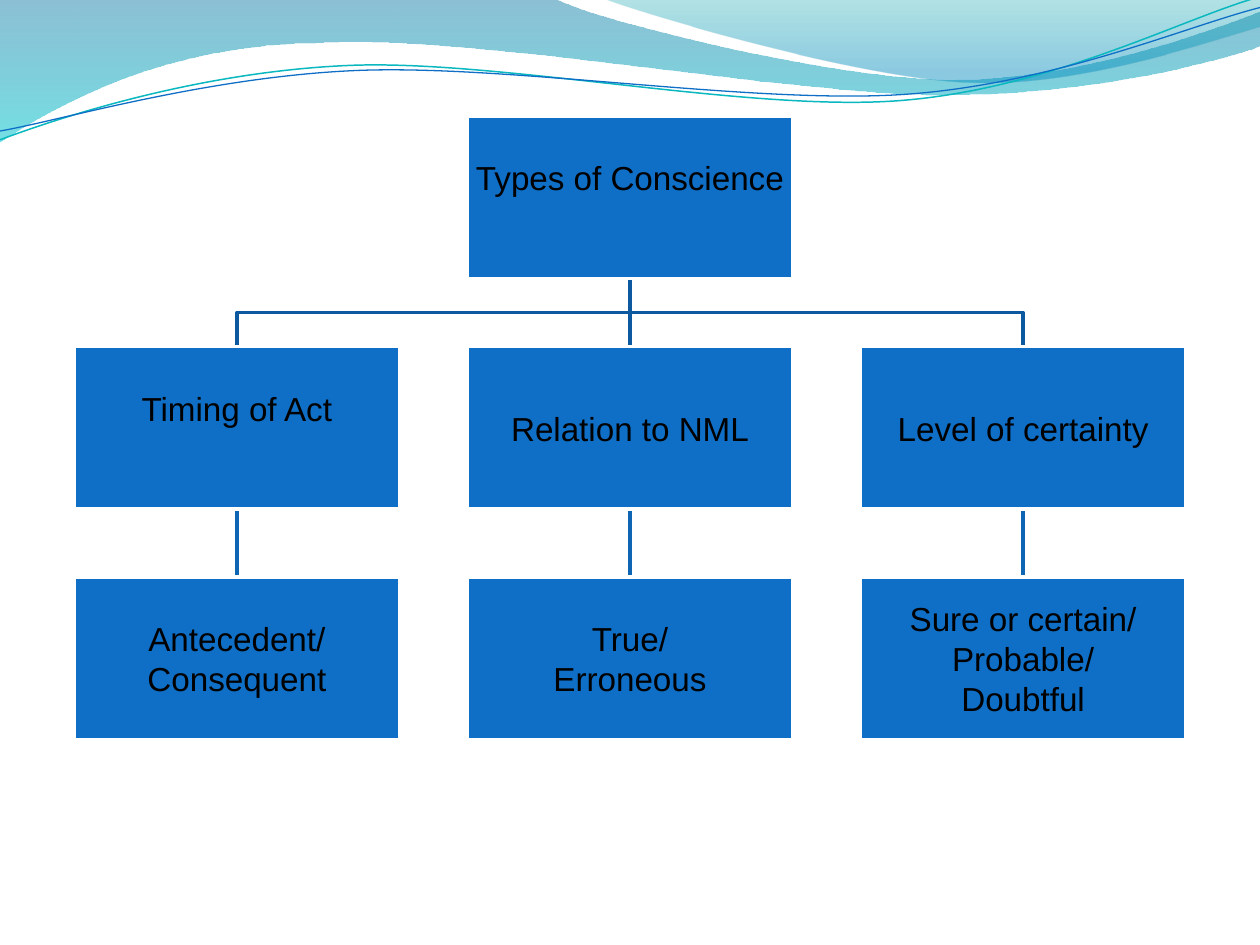
from pptx import Presentation
from pptx import util as u
from pptx.dml.color import RGBColor
from pptx.enum import shapes, text
from pptx.oxml.ns import qn
from lxml import etree

TITLE = ["Types of Conscience"]
BRANCHES = [
    (["Timing of Act"], ["Antecedent/", "Consequent"]),
    (["Relation to NML"], ["True/", "Erroneous"]),
    (["Level of certainty"], ["Sure or certain/", "Probable/", "Doubtful"]),
]
RAISED = ["Types of Conscience", "Timing of Act"]

THEME = {
    "font": "Arial", "size": 19, "text": "000000", "box": "0F6FC6",
    "edge": "FFFFFF", "upper": "0C599F", "lower": "0E65B4", "stroke": 2,
    "inset": 0.01, "raise": 0.32,
}

RIBBONS = [
    ([(0, -0.01), (4.4, -0.01),
      [(4.76, 0.17), (6.64, 0.63), (7.58, 0.63)],
      [(8.53, 0.63), (9.58, 0.26), (10, 0.09)],
      (10.01, 0.36),
      [(9.83, 0.44), (8.7, 0.76), (7.46, 0.75)],
      [(6.22, 0.75), (3.82, 0.28), (2.57, 0.34)],
      [(1.29, 0.35), (0.46, 0.83), (-0.01, 1.13)],
      (0, -0.01)],
     [(0, "0074A1", 45), (1, "00C6CF", 55)]),
    ([(4.79, -0.01),
      [(5.09, 0.11), (6.82, 0.62), (7.69, 0.65)],
      [(8.56, 0.69), (9.61, 0.32), (10, 0.21)],
      (10, 0), (4.79, -0.01)],
     [(0, "00A1A9", 30), (0.8, "008BBF", 45)]),
]
WAVES = [
    ([(0, 1.11),
      [(0.48, 0.93), (1.58, 0.57), (2.77, 0.52)],
      [(3.95, 0.47), (5.93, 0.89), (7.13, 0.8)],
      [(8.33, 0.71), (9.38, 0.15), (9.98, -0.02)]], "0AB8BF", 0.85),
    ([(0, 1.04),
      [(0.47, 0.96), (1.64, 0.61), (2.83, 0.56)],
      [(4.03, 0.51), (5.97, 0.83), (7.17, 0.75)],
      [(8.36, 0.67), (9.41, 0.21), (10, 0.06)]], "0F6FC6", 0.75),
]

WIDTH, HEIGHT = 10, 7.5
BOX_WIDTH, BOX_HEIGHT = 2.58, 1.29
COLUMN_STEP, ROW_STEP, TOP = 3.12, 1.83, 0.92
LINK_MARGIN = u.Inches(0.05)


def center(column):
    return WIDTH / 2 + (column - 1) * COLUMN_STEP


def row_top(row):
    return TOP + row * ROW_STEP


def set_line(shape, color, width):
    shape.line.color.rgb = RGBColor.from_string(color)
    shape.line.width = u.Pt(width)


def bend_curves(shape, outline):
    segments = iter(list(shape.element.iter(qn("a:lnTo"))))
    for part in outline[1:]:
        first = next(segments)
        if isinstance(part, list):
            first.tag = qn("a:cubicBezTo")
            for _ in part[1:]:
                control = next(segments)
                first.append(control[0])
                control.getparent().remove(control)


def widen(shape):
    shape.left -= LINK_MARGIN
    shape.width = 2 * LINK_MARGIN
    for outline in shape.element.iter(qn("a:path")):
        outline.set("w", str(shape.width))
    for point in shape.element.iter(qn("a:pt")):
        point.set("x", str(LINK_MARGIN))


def draw_outline(page, outline, close=False):
    points = []
    for part in outline:
        points.extend(part if isinstance(part, list) else [part])
    points = [(u.Inches(x), u.Inches(y)) for x, y in points]
    builder = page.shapes.build_freeform(*points[0])
    builder.add_line_segments(points[1:], close=close)
    shape = builder.convert_to_shape()
    shape.shadow.inherit = False
    bend_curves(shape, outline)
    return shape


def draw_ribbon(page, outline, stops):
    shape = draw_outline(page, outline, close=True)
    shape.line.fill.background()
    shape.fill.gradient()
    shape.fill.gradient_angle = 270
    for stop, (position, color, alpha) in zip(shape.fill.gradient_stops, stops):
        stop.position = position
        stop.color.rgb = RGBColor.from_string(color)
    colors = list(shape.element.spPr.iter(qn("a:srgbClr")))
    for element, (position, color, alpha) in zip(colors, stops):
        etree.SubElement(element, qn("a:alpha")).set("val", str(alpha * 1000))


def draw_curve(page, outline, color, width):
    shape = draw_outline(page, outline)
    shape.fill.background()
    set_line(shape, color, width)
    return shape


def draw_link(page, start, end, row, color):
    x, target = center(start), center(end)
    top, bottom = row_top(row) + BOX_HEIGHT, row_top(row + 1)
    middle = (top + bottom) / 2
    bend = [] if start == end else [(x, middle), (target, middle)]
    link = draw_curve(page, [(x, top), *bend, (target, bottom)], color, THEME["stroke"])
    if start == end:
        widen(link)


def draw_box(page, column, row, lines):
    box = page.shapes.add_shape(
        shapes.MSO_SHAPE.RECTANGLE,
        *map(u.Inches, (center(column) - BOX_WIDTH / 2, row_top(row), BOX_WIDTH, BOX_HEIGHT)))
    box.shadow.inherit = False
    box.fill.solid()
    box.fill.fore_color.rgb = RGBColor.from_string(THEME["box"])
    set_line(box, THEME["edge"], THEME["stroke"])
    frame = box.text_frame
    frame.word_wrap = True
    frame.vertical_anchor = text.MSO_ANCHOR.MIDDLE
    frame.margin_left = frame.margin_right = frame.margin_top = u.Inches(THEME["inset"])
    frame.margin_bottom = u.Inches(THEME["raise" if lines[0] in RAISED else "inset"])
    frame.text = "\n".join(lines)
    for para in frame.paragraphs:
        para.alignment = text.PP_ALIGN.CENTER
        for span in para.runs:
            span.font.name = THEME["font"]
            span.font.size = u.Pt(THEME["size"])
            span.font.color.rgb = RGBColor.from_string(THEME["text"])


def main():
    deck = Presentation()
    deck.slide_width, deck.slide_height = u.Inches(WIDTH), u.Inches(HEIGHT)
    page = deck.slides.add_slide(deck.slide_layouts[6])
    for outline, stops in RIBBONS:
        draw_ribbon(page, outline, stops)
    for outline, color, width in WAVES:
        draw_curve(page, outline, color, width)
    for column in reversed(range(len(BRANCHES))):
        draw_link(page, column, column, 1, THEME["lower"])
        draw_link(page, 1, column, 0, THEME["upper"])
    draw_box(page, 1, 0, TITLE)
    for column, branch in enumerate(BRANCHES):
        for row, lines in enumerate(branch, 1):
            draw_box(page, column, row, lines)
    deck.save("out.pptx")


if __name__ == "__main__":
    main()
